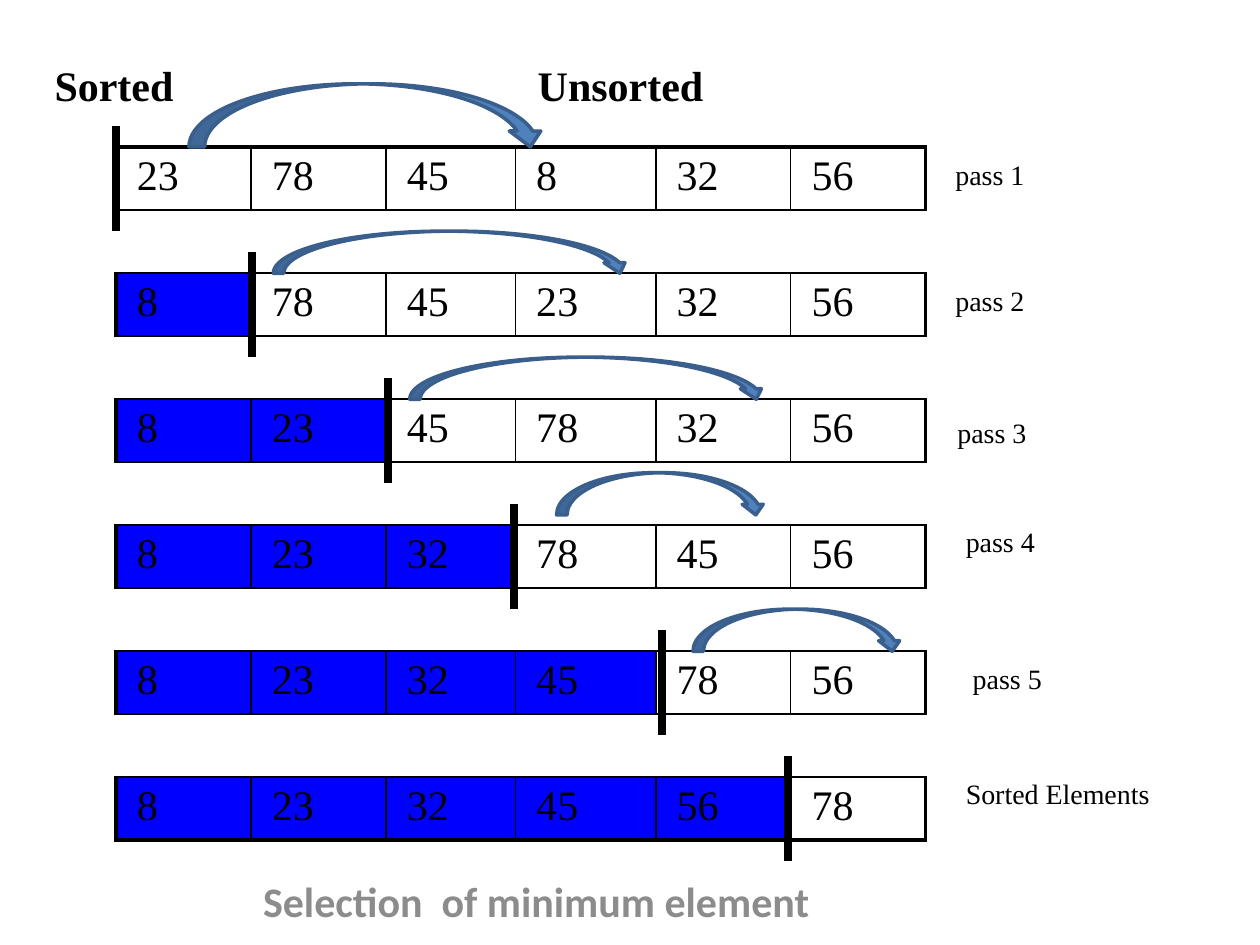
import dataclasses

import lxml.etree
import pptx
import pptx.dml.color
import pptx.enum.shapes
import pptx.enum.text
import pptx.oxml.ns
import pptx.util

Cm = pptx.util.Cm
Pt = pptx.util.Pt
RGB = pptx.dml.color.RGBColor.from_string
qn = pptx.oxml.ns.qn


@dataclasses.dataclass(frozen=True)
class Theme:
    ink: str = "000000"
    caption: str = "8C8C8C"
    sorted_fill: str = "0000FF"
    arrow_fill: str = "4F81BD"
    arrow_line: str = "3A5F8C"
    serif: str = "Times New Roman"
    sans: str = "Calibri"
    large: int = 24
    small: int = 16
    thin: float = 1
    thick: float = 2.25
    bar: float = 4.5
    outline: float = 2


theme = Theme()


def style(para, size, bold=False, font=theme.serif, color=theme.ink):
    para.font.name = font
    para.font.size = Pt(size)
    para.font.bold = bold
    para.font.color.rgb = RGB(color)


def add_label(text, left, top, width, height, size, bold=False):
    box = page.shapes.add_textbox(Cm(left), Cm(top), Cm(width), Cm(height))
    frame = box.text_frame
    frame.word_wrap = True
    frame.margin_left = frame.margin_right = 0
    frame.margin_top = frame.margin_bottom = 0
    frame.text = text
    style(frame.paragraphs[0], size, bold)


deck = pptx.Presentation()
deck.slide_width, deck.slide_height = Cm(25.4), Cm(19.05)
page = deck.slides.add_slide(deck.slide_layouts[5])

# Caption
title = page.shapes.title
title.left, title.top, title.width, title.height = Cm(4.88), Cm(17.65), Cm(11.86), Cm(1.02)
frame = title.text_frame
frame.text = "Selection  of minimum element"
frame.auto_size = pptx.enum.text.MSO_AUTO_SIZE.NONE
frame.vertical_anchor = pptx.enum.text.MSO_ANCHOR.MIDDLE
frame.margin_left = frame.margin_right = frame.margin_top = frame.margin_bottom = 0
frame.paragraphs[0].alignment = pptx.enum.text.PP_ALIGN.CENTER
style(frame.paragraphs[0], theme.large, True, theme.sans, theme.caption)

# Array after each pass; the first n values of pass n (from 0) are sorted
passes = [
    (23, 78, 45, 8, 32, 56),
    (8, 78, 45, 23, 32, 56),
    (8, 23, 45, 78, 32, 56),
    (8, 23, 32, 78, 45, 56),
    (8, 23, 32, 45, 78, 56),
    (8, 23, 32, 45, 56, 78),
]
column_widths = [2.72, 2.72, 2.61, 2.83, 2.72, 2.72]
row_height = 1.27
pass_step = 2 * row_height
row_count = 2 * len(passes) - 1
last_row, last_column = row_count - 1, len(column_widths) - 1

table_frame = page.shapes.add_table(
    row_count, len(column_widths), Cm(2.34), Cm(2.96),
    Cm(sum(column_widths)), Cm(row_count * row_height))
table = table_frame.table
table.first_row = table.horz_banding = False
no_style_no_grid = "{2D5ABB26-0587-4C30-8999-92F81FD0307C}"
table_frame._element.find(".//" + qn("a:tableStyleId")).text = no_style_no_grid
for column, width in zip(table.columns, column_widths):
    column.width = Cm(width)

for row_index, row in enumerate(table.rows):
    row.height = Cm(row_height)
    pass_index, is_gap = divmod(row_index, 2)
    for column_index, cell in enumerate(row.cells):
        if is_gap:
            cell.fill.background()
            continue
        outer_edges = {
            "lnL": column_index == 0,
            "lnR": column_index == last_column,
            "lnT": row_index == 0,
            "lnB": row_index == last_row,
        }
        properties = cell._tc.get_or_add_tcPr()
        for edge, is_outer in outer_edges.items():
            weight = Pt(theme.thick if is_outer else theme.thin)
            line = lxml.etree.SubElement(properties, qn("a:" + edge), w=str(weight))
            fill = lxml.etree.SubElement(line, qn("a:solidFill"))
            lxml.etree.SubElement(fill, qn("a:srgbClr"), val=theme.ink)
        if column_index < pass_index:
            cell.fill.solid()
            cell.fill.fore_color.rgb = RGB(theme.sorted_fill)
        else:
            cell.fill.background()
        cell.margin_left = Cm(0.42)
        cell.text = str(passes[pass_index][column_index])
        style(cell.text_frame.paragraphs[0], theme.large)

# Labels
for text, left, top in [
    ("pass 1", 19.26, 3.18),
    ("pass 2", 19.26, 5.72),
    ("pass 3", 19.3, 8.38),
    ("pass 4", 19.47, 10.58),
    ("pass 5", 19.61, 13.34),
    ("Sorted Elements", 19.47, 15.66),
]:
    add_label(text, left, top, 4.76, 0.95, theme.small)
for text, left in [("Sorted", 1.1), ("Unsorted", 10.84)]:
    add_label(text, left, 1.2, 3.6, 1.02, theme.large, bold=True)

# Bars between the sorted and unsorted parts
for index, left in enumerate([2.33, 5.08, 7.83, 10.37, 13.34, 15.88]):
    top = pass_step * (index + 1)
    bar = page.shapes.add_connector(
        pptx.enum.shapes.MSO_CONNECTOR.STRAIGHT, Cm(left), Cm(top), Cm(left), Cm(top + 2.12))
    bar.line.color.rgb = RGB(theme.ink)
    bar.line.width = Pt(theme.bar)
    lxml.etree.SubElement(bar._element.spPr, qn("a:effectLst"))

# Swap arrows
for left, top, width, height in [
    (3.81, 1.69, 7.2, 1.27),
    (5.51, 4.66, 7.2, 0.85),
    (8.26, 7.2, 7.2, 0.85),
    (11.22, 9.53, 4.23, 0.85),
    (13.97, 12.28, 4.23, 0.85),
]:
    arrow = page.shapes.add_shape(
        pptx.enum.shapes.MSO_SHAPE.CURVED_DOWN_ARROW, Cm(left), Cm(top), Cm(width), Cm(height))
    arrow.shadow.inherit = False
    arrow.fill.solid()
    arrow.fill.fore_color.rgb = RGB(theme.arrow_fill)
    arrow.line.color.rgb = RGB(theme.arrow_line)
    arrow.line.width = Pt(theme.outline)

deck.save("out.pptx")
